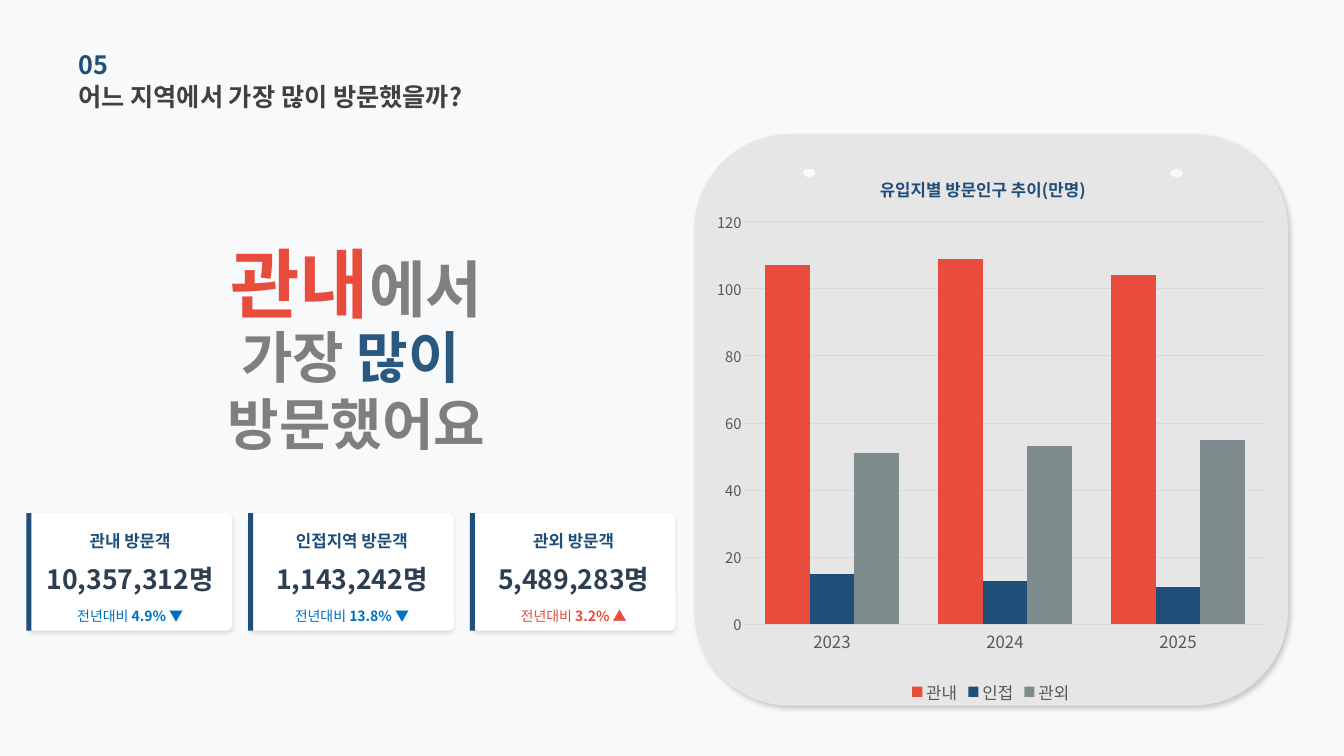
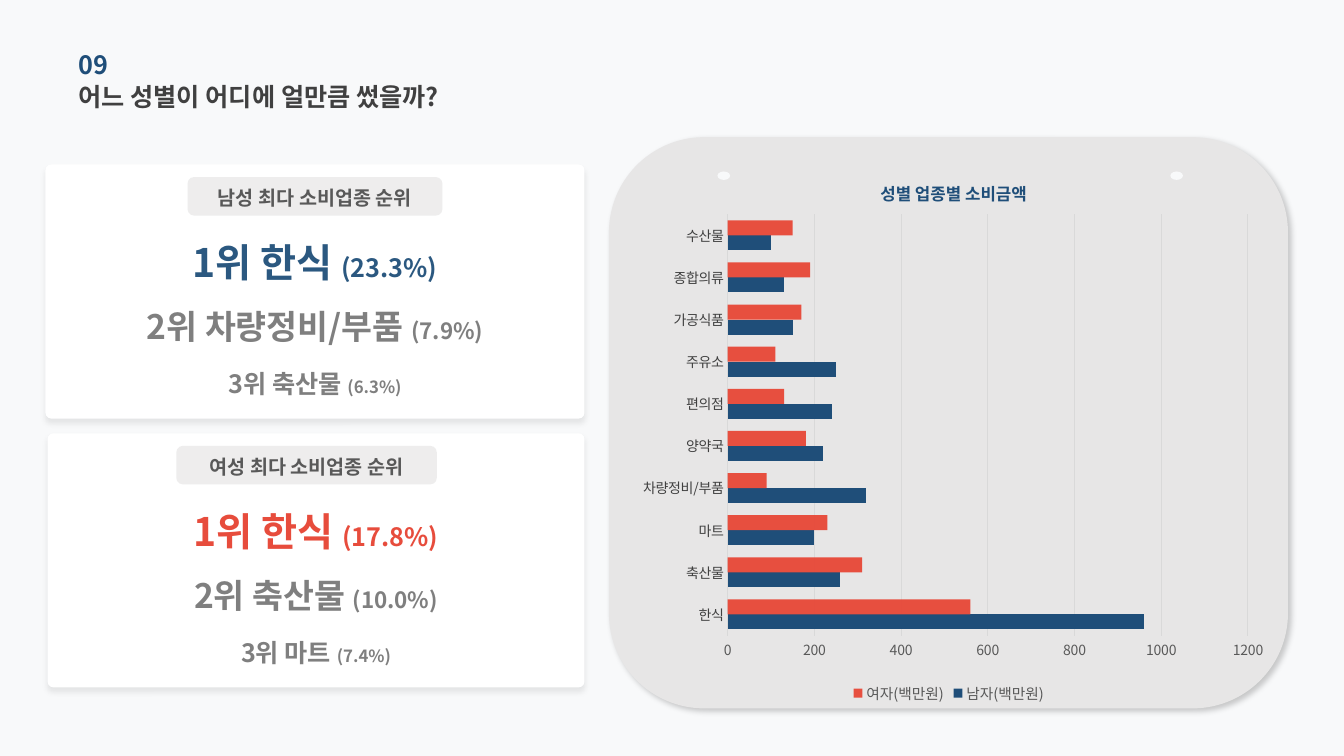
from lxml import etree
from pptx import Presentation
from pptx.chart.data import CategoryChartData
from pptx.dml.color import RGBColor
from pptx.enum.chart import XL_CHART_TYPE, XL_LEGEND_POSITION, XL_TICK_MARK
from pptx.enum.shapes import MSO_SHAPE
from pptx.enum.text import MSO_ANCHOR, PP_ALIGN
from pptx.oxml.ns import qn
from pptx.util import Pt

RECTANGLE, ROUNDED, ELLIPSE = MSO_SHAPE.RECTANGLE, MSO_SHAPE.ROUNDED_RECTANGLE, MSO_SHAPE.OVAL
LEFT, CENTER, MIDDLE = PP_ALIGN.LEFT, PP_ALIGN.CENTER, MSO_ANCHOR.MIDDLE
COLUMNS, BARS = XL_CHART_TYPE.COLUMN_CLUSTERED, XL_CHART_TYPE.BAR_CLUSTERED
BOTTOM, NO_TICKS = XL_LEGEND_POSITION.BOTTOM, XL_TICK_MARK.NONE

FONT = "Noto Sans CJK KR"
COLORS = {
    name: RGBColor.from_string(value)
    for name, value in {
        "page": "F8F9FA", "panel": "E7E6E6", "white": "FFFFFF", "badge": "D0CECE",
        "title": "404040", "navy": "1F4E79", "blue": "2B5880", "sky": "0070C0",
        "red": "E74C3C", "slate": "7F8C8D", "ink": "2C3E50", "text": "595959",
        "gray": "7F7F7F", "mid gray": "808080", "grid": "D9D9D9", "black": "000000",
    }.items()
}
# Shadows: opacity %, blur, distance, direction in degrees
PANEL_SHADOW, CARD_SHADOW, RANKING_SHADOW = (20, 4, 3, 45), (10, 3, 2, 90), (8, 4, 3, 90)


def add_box(shapes, kind, left, top, width, height, color, radius=None, shadow=None, alpha=None):
    shape = shapes.add_shape(kind, Pt(left), Pt(top), Pt(width), Pt(height))
    shape.fill.solid()
    shape.fill.fore_color.rgb = COLORS[color]
    shape.line.fill.background()
    shape.shadow.inherit = False
    if radius is not None:
        shape.adjustments[0] = radius
    if alpha:
        fill_color = shape.element.spPr.find(qn("a:solidFill"))[0]
        etree.SubElement(fill_color, qn("a:alpha"), val=str(alpha * 1000))
    if shadow:
        opacity, blur, distance, direction = shadow
        outer = etree.SubElement(
            shape.element.spPr.find(qn("a:effectLst")), qn("a:outerShdw"),
            blurRad=str(Pt(blur)), dist=str(Pt(distance)), dir=str(direction * 60000),
            algn="tl", rotWithShape="0")
        shadow_color = etree.SubElement(outer, qn("a:srgbClr"), val=str(COLORS["black"]))
        etree.SubElement(shadow_color, qn("a:alpha"), val=str(opacity * 1000))


def add_text(shapes, left, top, width, height, lines, align=CENTER, spacing=None):
    """Each line is a list of runs: text, size, colour, bold."""
    frame = shapes.add_textbox(Pt(left), Pt(top), Pt(width), Pt(height)).text_frame
    frame.word_wrap = True
    frame.vertical_anchor = MIDDLE
    frame.margin_left = frame.margin_right = frame.margin_top = frame.margin_bottom = 0
    for index, line in enumerate(lines):
        paragraph = frame.add_paragraph() if index else frame.paragraphs[0]
        paragraph.alignment = align
        paragraph.line_spacing = spacing
        for text, size, color, bold in line:
            run = paragraph.add_run()
            run.text = text
            run.font.name, run.font.size, run.font.bold = FONT, Pt(size), bold
            run.font.color.rgb = COLORS[color]


presentation = Presentation()
presentation.slide_width, presentation.slide_height = Pt(960), Pt(540)

pages = [
    {
        "number": "05", "title": "어느 지역에서 가장 많이 방문했을까?",
        "panel": (496, 96, 424, 408), "frame": (504, 106.5, 407.5, 399.5),
        "type": COLUMNS, "chart title": "유입지별 방문인구 추이(만명)",
        "title layout": {"x": 0.3, "y": 0.04},
        "plot layout": {"x": 0.07, "y": 0.13, "w": 0.91, "h": 0.72},
        "gap": 90, "maximum": 120, "unit": 20,
        "category font": (12, "text"), "value size": 10.5, "legend size": 12,
        "categories": ["2023", "2024", "2025"],
        "series": [("관내", [107, 109, 104], "red", None),
                   ("인접", [15, 13, 11], "navy", None),
                   ("관외", [51, 53, 55], "slate", None)],
    },
    {
        "number": "09", "title": "어느 성별이 어디에 얼만큼 썼을까?",
        "panel": (435, 98, 485, 408), "frame": (445.5, 109.5, 464.5, 396),
        "type": BARS, "chart title": "성별 업종별 소비금액",
        "title layout": {"x": 0.39, "y": 0.04},
        "plot layout": {"x": 0.16, "y": 0.11, "w": 0.8, "h": 0.76},
        "gap": 80, "maximum": 1200, "unit": 200,
        "category font": (10, "title"), "value size": 10, "legend size": 10.5,
        "categories": ["한식", "축산물", "마트", "차량정비/부품", "양약국",
                       "편의점", "주유소", "가공식품", "종합의류", "수산물"],
        "series": [
            ("남자(백만원)", [960, 260, 200, 320, 220, 240, 250, 150, 130, 100], "navy", None),
            ("여자(백만원)", [560, 310, 230, 90, 180, 130, 110, 170, 190, 150], "red", 98)],
    },
]

# Shared frame: background, title, panel with two holes, chart
slides, roots = [], []
for page in pages:
    slide = presentation.slides.add_slide(presentation.slide_layouts[6])
    slide.background.fill.solid()
    slide.background.fill.fore_color.rgb = COLORS["page"]
    panel_left, panel_top = page["panel"][:2]
    add_box(slide.shapes, ROUNDED, *page["panel"], "panel", shadow=PANEL_SHADOW)
    add_text(slide.shapes, 56, 54, 380, 29.5, [[(page["title"], 18, "title", True)]], LEFT)
    add_text(slide.shapes, 56, 31.5, 325, 29.5, [[(page["number"], 18, "navy", True)]], LEFT)
    for hole_left in (panel_left + 77.5, 836):
        add_box(slide.shapes, ELLIPSE, hole_left, panel_top + 24.5, 9, 6, "page")

    chart_data = CategoryChartData()
    chart_data.categories = page["categories"]
    for name, values, color, alpha in page["series"]:
        chart_data.add_series(name, values)
    frame = [Pt(length) for length in page["frame"]]
    chart = slide.shapes.add_chart(page["type"], *frame, chart_data).chart
    chart.font.name, chart.font.size = FONT, Pt(10)
    chart.font.color.rgb = COLORS["black"]

    plot = chart.plots[0]
    plot.gap_width, plot.overlap, plot.vary_by_categories = page["gap"], 0, False
    for series, (name, values, color, alpha) in zip(plot.series, page["series"]):
        series.format.fill.solid()
        series.format.fill.fore_color.rgb = COLORS[color]
        series.invert_if_negative = False
        if alpha:
            fill_color = series.format.fill.fore_color and series._element.spPr.find(qn("a:solidFill"))[0]
            etree.SubElement(fill_color, qn("a:alpha"), val=str(alpha * 1000))

    chart.has_title = True
    title_run = chart.chart_title.text_frame.paragraphs[0].add_run()
    title_run.text = page["chart title"]
    chart.has_legend = True
    chart.legend.position, chart.legend.include_in_layout = BOTTOM, False

    category_axis, value_axis = chart.category_axis, chart.value_axis
    value_axis.minimum_scale, value_axis.maximum_scale = 0, page["maximum"]
    value_axis.major_unit = page["unit"]
    value_axis.has_major_gridlines = True
    value_axis.format.line.fill.background()
    for axis in (category_axis, value_axis):
        axis.major_tick_mark = axis.minor_tick_mark = NO_TICKS
    for line in (category_axis.format.line, value_axis.major_gridlines.format.line):
        line.color.rgb, line.width = COLORS["grid"], Pt(0.75)

    category_size, category_color = page["category font"]
    for font, size, color, bold in (
        (title_run.font, 12, "navy", True),
        (chart.legend.font, page["legend size"], "text", False),
        (category_axis.tick_labels.font, category_size, category_color, False),
        (value_axis.tick_labels.font, page["value size"], "text", False),
    ):
        font.name, font.size, font.bold = FONT, Pt(size), bold
        font.color.rgb = COLORS[color]

    # Fixed places for the chart title and the plot area
    plot_area = chart.element.find(".//" + qn("c:plotArea"))
    for parent, position, layout_values in (
        (chart.chart_title.element, 1, page["title layout"]),
        (plot_area, 0, page["plot layout"]),
    ):
        for old_layout in parent.findall(qn("c:layout")):
            parent.remove(old_layout)
        layout = etree.Element(qn("c:layout"))
        parent.insert(position, layout)
        manual = etree.SubElement(layout, qn("c:manualLayout"))
        if parent is plot_area:
            etree.SubElement(manual, qn("c:layoutTarget"), val="inner")
        for mode in ("xMode", "yMode"):
            etree.SubElement(manual, qn("c:" + mode), val="edge")
        for key, fraction in layout_values.items():
            etree.SubElement(manual, qn("c:" + key), val=str(fraction))
    slides.append(slide)
    roots += [slide.element, chart.element]

visits, spending = slides

# Headline on visitors
add_text(visits.shapes, 100, 184.5, 309, 34.5,
         [[("관내", 54, "red", True), ("에서", 44, "mid gray", True)]])
add_text(visits.shapes, 56, 248, 397.5, 60.5,
         [[("가장", 40, "gray", True), (" 많이 ", 40, "blue", True)],
          [("방문했어요", 40, "gray", True)]], spacing=Pt(48))

# Visitor cards
card_top, card_width, card_height, card_pitch = 366.5, 145.5, 84, 158.4
cards = [
    ("관내 방문객", "10,357,312명", "4.9% ▼", "sky"),
    ("인접지역 방문객", "1,143,242명", "13.8% ▼", "sky"),
    ("관외 방문객", "5,489,283명", "3.2% ▲", "red"),
]
for index, (label, count, change, color) in enumerate(cards):
    left = 20.2 + index * card_pitch
    add_box(visits.shapes, ROUNDED, left, card_top, card_width, card_height, "white",
            0.048, CARD_SHADOW)
    for offset, height, runs in (
        (11.5, 16, [(label, 12, "navy", True)]),
        (34.5, 24.5, [(count, 19, "ink", True)]),
        (66, 14.5, [("전년대비 ", 10, color, False), (change, 10, color, True)]),
    ):
        add_text(visits.shapes, left, card_top + offset, card_width, height, [runs])
    add_box(visits.shapes, RECTANGLE, left - 1.4, card_top, 3.6, card_height, "navy")

# Spending rankings by gender
rankings = [
    ("남성 최다 소비업종 순위", 32.5, 134, 182, "blue",
     [("1위 한식 ", "(23.3%)"), ("2위 차량정비/부품 ", "(7.9%)"), ("3위 축산물 ", "(6.3%)")]),
    ("여성 최다 소비업종 순위", 34, 126, 186, "red",
     [("1위 한식 ", "(17.8%)"), ("2위 축산물 ", "(10.0%)"), ("3위 마트 ", "(7.4%)")]),
]
for index, (heading, left, badge_left, badge_width, top_color, places) in enumerate(rankings):
    shapes = spending.shapes.add_group_shape().shapes
    top, width = 117.5 + index * 192, 417.5 - left
    add_box(shapes, ROUNDED, left, top, width, 181.5, "white", 0.023, RANKING_SHADOW)
    row_styles = [(52.5, 34.5, 28, 18, top_color), (85.5, 60.5, 24, 16, "gray"),
                  (126.5, 60.5, 18, 12, "gray")]
    for (place, share), (offset, height, size, share_size, color) in zip(places, row_styles):
        add_text(shapes, left, top + offset, width, height,
                 [[(place, size, color, True), (share, share_size, color, True)]])
    add_box(shapes, ROUNDED, badge_left, top + 9, badge_width, 27.5, "badge", alpha=36)
    add_text(shapes, badge_left, top + 9, badge_width, 29.5, [[(heading, 14, "text", True)]])

# Korean text uses the same typeface as Latin text
for root in roots:
    for latin in list(root.iter(qn("a:latin"))):
        latin.addnext(etree.Element(qn("a:ea"), typeface=FONT))

presentation.save("out.pptx")
